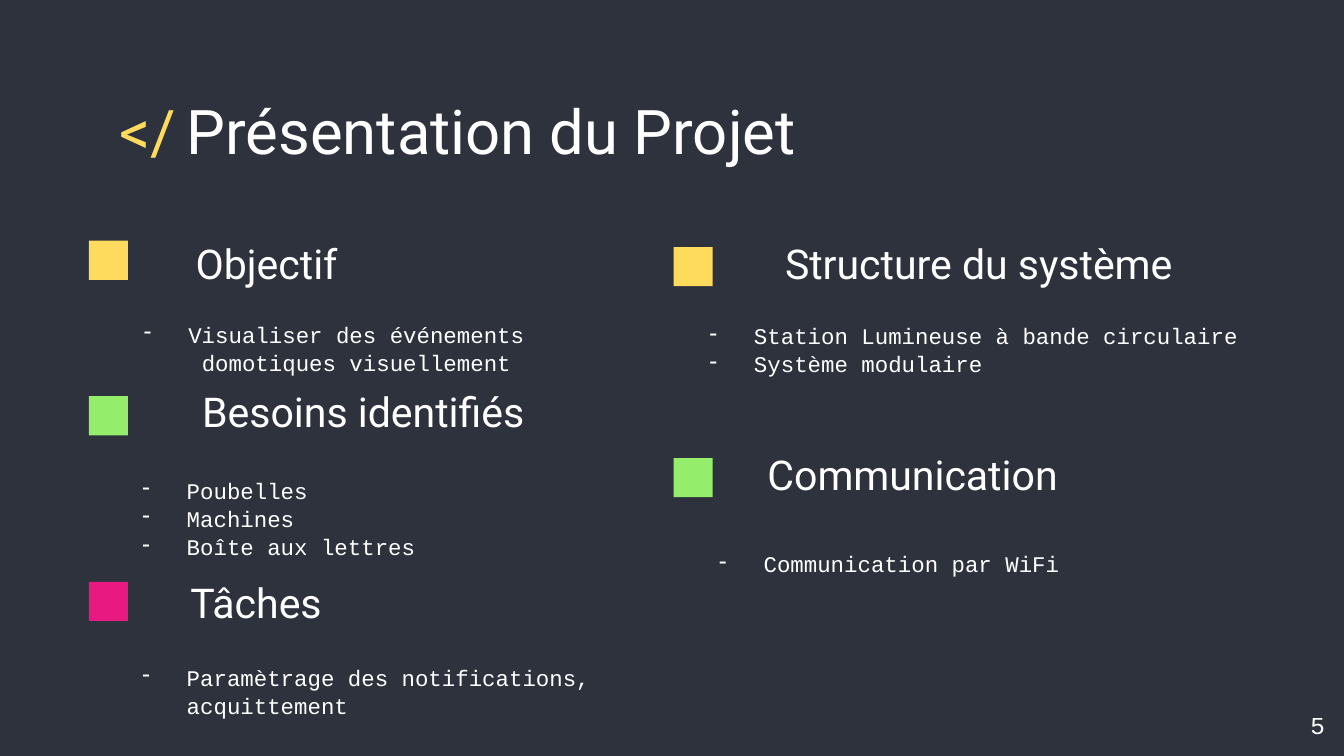
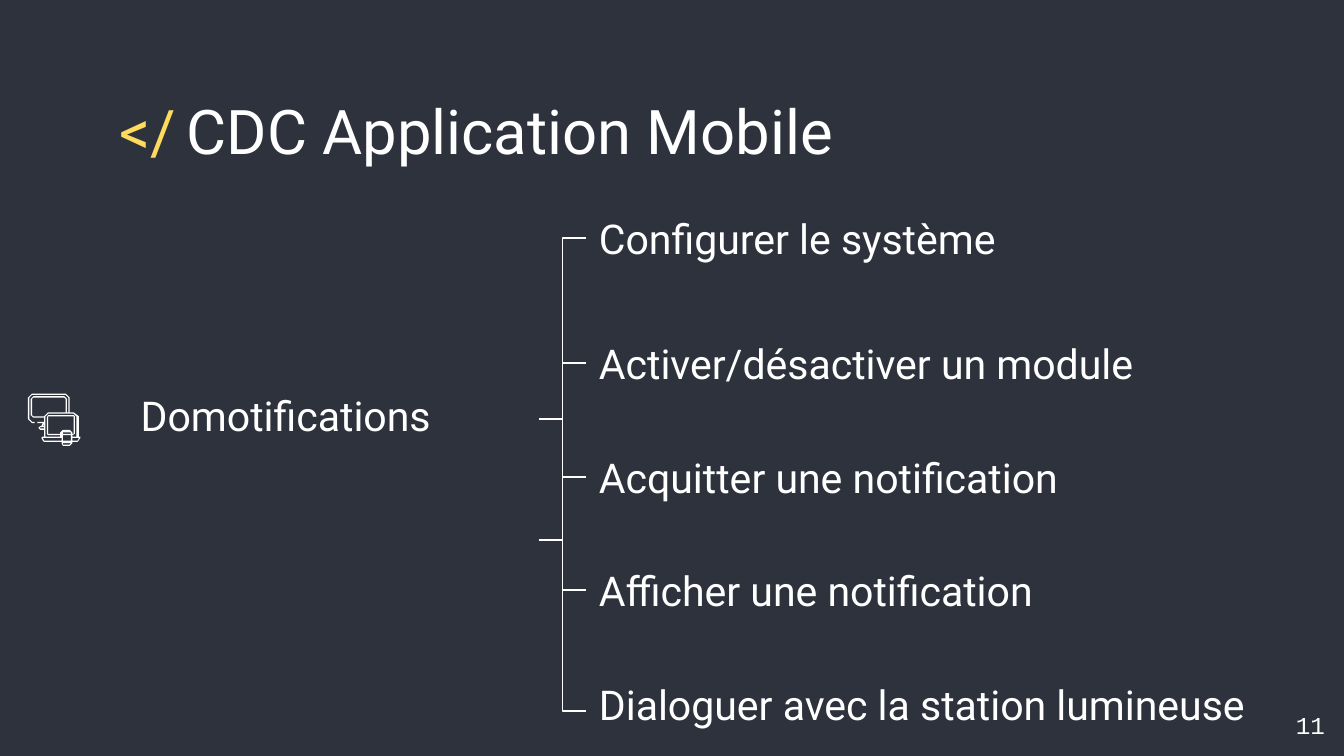
from dataclasses import dataclass

from lxml.etree import SubElement
from pptx import Presentation
from pptx.dml.color import RGBColor
from pptx.enum.shapes import MSO_CONNECTOR, MSO_SHAPE
from pptx.enum.text import MSO_ANCHOR, PP_ALIGN
from pptx.oxml.ns import qn
from pptx.util import Cm, Pt


@dataclass(frozen=True)
class Theme:
    background: RGBColor = RGBColor.from_string("2D323C")
    white: RGBColor = RGBColor.from_string("FFFFFF")
    yellow: RGBColor = RGBColor.from_string("FFDB5D")
    green: RGBColor = RGBColor.from_string("94EE6B")
    pink: RGBColor = RGBColor.from_string("E81981")
    heading_font: str = "Roboto"
    body_font: str = "Courier New"
    title_size: int = 33
    heading_size: int = 22
    body_size: int = 12
    number_size: int = 13
    line_width: float = 0.75


THEME = Theme()
MARKER_SIDE = 0.74
ROW_HEIGHT = 1.27

# Heading, its box (left, top, width), marker (left, top, colour),
# list box (left, top, width, height), list alignment, list items
SECTIONS = [
    ("Objectif", (2.95, 4.42, 3.68), (1.68, 4.55, THEME.yellow),
     (1.32, 5.79, 8.84, 1.6), PP_ALIGN.RIGHT,
     ["Visualiser des événements domotiques visuellement "]),
    ("Besoins identifiés", (3.05, 7.21, 7.11), (1.68, 7.49, THEME.green),
     (2.01, 8.74, 6.32, 1.6), PP_ALIGN.LEFT,
     ["Poubelles", "Machines", "Boîte aux lettres"]),
    ("Tâches", (2.95, 10.82, 3.38), (1.68, 11, THEME.pink),
     (2.01, 12.27, 10.74, 1.27), PP_ALIGN.LEFT,
     ["Paramètrage des notifications, acquittement"]),
    ("Structure du système", (13.77, 4.42, 8.64), (12.73, 4.67, THEME.yellow),
     (12.73, 5.82, 11.84, 1.27), PP_ALIGN.LEFT,
     ["Station Lumineuse à bande circulaire", "Système modulaire"]),
    ("Communication", (13.28, 8.41, 6.96), (12.73, 8.66, THEME.green),
     (12.37, 10.13, 7.9, 1.27), PP_ALIGN.RIGHT,
     ["Communication par WiFi"]),
]

# Feature, text centre, text width, height, branch start, branch end
HUB_X, FEATURE_X, HUB_Y, LAST_HUB_Y = 10.19, 11.07, 7.92, 10.21
FEATURES = [
    ("Configurer le système", 4.51, 11.07, 1.7, HUB_Y, 4.5),
    ("Activer/désactiver un module", 6.86, 11.81, ROW_HEIGHT, HUB_Y, 6.86),
    ("Acquitter une notification", 9.02, 11.23, ROW_HEIGHT, HUB_Y, 9.02),
    ("Afficher une notification", 11.15, 11.81, ROW_HEIGHT, HUB_Y, 11.15),
    ("Dialoguer avec la station lumineuse", 13.31, 13.77, ROW_HEIGHT,
     LAST_HUB_Y, 13.44),
]

# Screens icon on a grid of 39 units: the silhouette, then its openings
ICON_UNITS = 39
ICON_SIDE = 0.99
ICON_CONTOURS = [
    [(3, 0), (0, 3), (0, 19), (3, 22), (5, 22), (5, 21), (3, 21), (1, 19),
     (1, 3), (3, 1), (28, 1), (30, 3), (30, 14), (29, 14), (29, 4), (27, 2),
     (4, 2), (2, 4), (2, 16), (4, 18), (12, 18), (12, 21), (7, 21), (7, 22),
     (11, 22), (10, 24), (8, 25), (8, 26), (9, 27), (12, 27), (12, 32),
     (11, 32), (10, 33), (11, 35), (12, 36), (25, 36), (25, 37), (26, 39),
     (31, 39), (33, 37), (33, 36), (37, 36), (39, 33), (39, 32), (38, 32),
     (38, 17), (34, 14), (31, 14), (31, 3), (28, 0)],
    [(4, 3), (27, 3), (28, 4), (28, 14), (15, 14), (12, 17), (4, 17),
     (3, 16), (3, 4)],
    [(15, 15), (34, 15), (36, 17), (36, 32), (33, 32), (33, 31), (35, 30),
     (35, 17), (34, 16), (15, 16), (14, 18), (14, 30), (15, 31), (24, 31),
     (24, 32), (13, 32), (13, 17)],
    [(15, 17), (34, 17), (34, 30), (33, 30), (33, 29), (31, 27), (26, 27),
     (24, 29), (24, 30), (15, 30)],
    [(12, 23), (12, 24), (11, 24)],
    [(9, 25), (12, 25), (12, 26), (9, 26)],
    [(25, 33), (25, 35), (12, 35), (11, 33)],
    [(38, 33), (37, 35), (33, 35), (33, 33)],
    [(26, 29), (32, 29), (32, 30), (26, 30)],
    [(26, 31), (32, 31), (32, 35), (26, 35)],
    [(26, 37), (32, 37), (31, 38), (26, 38)],
]


def style_font(font, name, size, color=THEME.white):
    font.name = name
    font.size = Pt(size)
    font.color.rgb = color


def add_text_frame(slide, left, top, width, height, anchor=MSO_ANCHOR.TOP):
    box = slide.shapes.add_textbox(Cm(left), Cm(top), Cm(width), Cm(height))
    frame = box.text_frame
    frame.word_wrap = True
    frame.vertical_anchor = anchor
    frame.margin_left = frame.margin_right = Cm(0.25)
    frame.margin_top = frame.margin_bottom = Cm(0.25)
    return frame


def add_label(slide, text, area, anchor=MSO_ANCHOR.TOP, align=PP_ALIGN.LEFT,
              font=THEME.heading_font, size=THEME.heading_size):
    paragraph = add_text_frame(slide, *area, anchor).paragraphs[0]
    paragraph.text = text
    paragraph.alignment = align
    style_font(paragraph.runs[0].font, font, size)


def add_titled_slide(deck, title, number):
    slide = deck.slides.add_slide(deck.slide_layouts[6])
    slide.background.fill.solid()
    slide.background.fill.fore_color.rgb = THEME.background

    # Title with its coloured code mark
    heading = add_text_frame(slide, 2.01, 1.5, 21.41, 1.6).paragraphs[0]
    for text, color in (("</", THEME.yellow), (f"\t{title}", THEME.white)):
        run = heading.add_run()
        run.text = text
        style_font(run.font, THEME.heading_font, THEME.title_size, color)

    # Slide number
    add_label(slide, str(number), (23.77, 13.18, 1.52, 1.09),
              align=PP_ALIGN.RIGHT, font=THEME.body_font,
              size=THEME.number_size)
    return slide


def add_marker(slide, left, top, color):
    marker = slide.shapes.add_shape(MSO_SHAPE.RECTANGLE, Cm(left), Cm(top),
                                    Cm(MARKER_SIDE), Cm(MARKER_SIDE))
    marker.shadow.inherit = False
    marker.fill.solid()
    marker.fill.fore_color.rgb = color
    marker.line.fill.background()


def add_dash_bullet(paragraph):
    properties = paragraph._p.get_or_add_pPr()
    properties.set("marL", str(Cm(1.27)))
    properties.set("indent", str(-Cm(0.84)))
    bullet_color = SubElement(properties, qn("a:buClr"))
    SubElement(bullet_color, qn("a:srgbClr")).set("val", str(THEME.white))
    SubElement(properties, qn("a:buChar")).set("char", "-")


def add_dash_list(slide, items, area, align):
    frame = add_text_frame(slide, *area)
    frame.text = "\n".join(items)
    for paragraph in frame.paragraphs:
        add_dash_bullet(paragraph)
        paragraph.alignment = align
        paragraph.line_spacing = 1.05
        style_font(paragraph.runs[0].font, THEME.body_font, THEME.body_size)


def add_branch(slide, start_y, end_y):
    branch = slide.shapes.add_connector(MSO_CONNECTOR.ELBOW, Cm(HUB_X),
                                        Cm(start_y), Cm(FEATURE_X), Cm(end_y))
    branch.line.color.rgb = THEME.white
    branch.line.width = Pt(THEME.line_width)
    SubElement(branch._element.spPr, qn("a:effectLst"))


def add_screens_icon(slide, left, top):
    silhouette, *openings = ICON_CONTOURS
    builder = slide.shapes.build_freeform(*silhouette[0],
                                          scale=Cm(ICON_SIDE) / ICON_UNITS)
    builder.add_line_segments(silhouette[1:], close=True)
    for opening in openings:
        builder.move_to(*opening[0])
        builder.add_line_segments(opening[1:], close=True)
    icon = builder.convert_to_shape(Cm(left), Cm(top))
    icon.shadow.inherit = False
    icon.fill.solid()
    icon.fill.fore_color.rgb = THEME.white
    icon.line.fill.background()


def build_project_slide(deck):
    slide = add_titled_slide(deck, "Présentation du Projet", 5)
    for heading, place, marker, list_area, align, items in SECTIONS:
        add_marker(slide, *marker)
        add_label(slide, heading, (*place, ROW_HEIGHT), MSO_ANCHOR.BOTTOM,
                  PP_ALIGN.RIGHT)
        add_dash_list(slide, items, list_area, align)


def build_application_slide(deck):
    slide = add_titled_slide(deck, "CDC Application Mobile", 11)

    # Application name and icon
    add_screens_icon(slide, 0.53, 7.44)
    add_label(slide, "Domotifications", (2.41, 7.29, 7.77, ROW_HEIGHT),
              MSO_ANCHOR.BOTTOM)

    # Feature tree
    for feature, center, width, height, start_y, end_y in FEATURES:
        add_branch(slide, start_y, end_y)
        add_label(slide, feature,
                  (FEATURE_X, center - height / 2, width, height),
                  MSO_ANCHOR.MIDDLE)


def main():
    deck = Presentation()
    deck.slide_width = Cm(25.4)
    deck.slide_height = Cm(14.29)
    build_project_slide(deck)
    build_application_slide(deck)
    deck.save("out.pptx")


if __name__ == "__main__":
    main()
